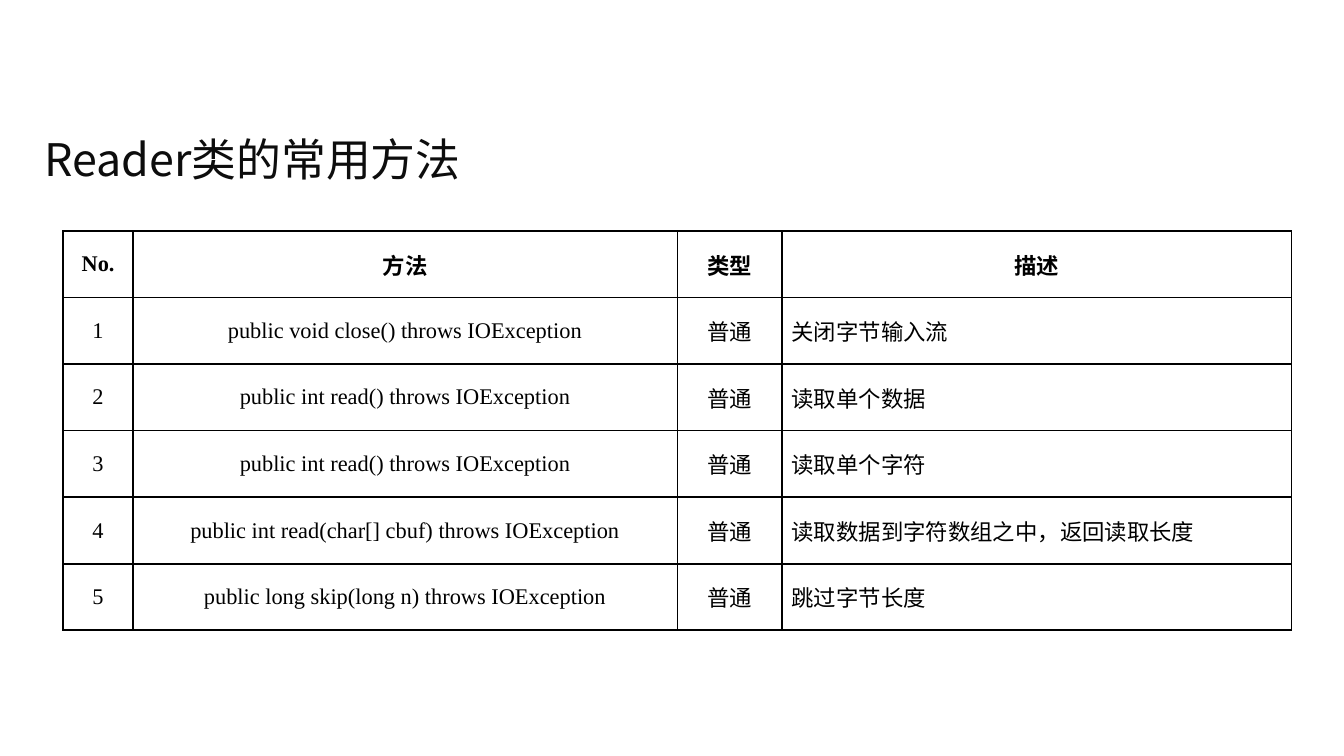
from lxml.etree import SubElement
from pptx import Presentation
from pptx.dml.color import RGBColor
from pptx.enum.text import MSO_ANCHOR as Anchor, PP_ALIGN as Align
from pptx.oxml import parse_xml
from pptx.oxml.ns import nsdecls, qn
from pptx.util import Inches, Pt

TITLE = "Reader类的常用方法"
HEADER = ("No.", "方法", "类型", "描述")
METHODS = [
    ("public void close() throws IOException", "关闭字节输入流"),
    ("public int read() throws IOException", "读取单个数据"),
    ("public int read() throws IOException", "读取单个字符"),
    ("public int read(char[] cbuf) throws IOException", "读取数据到字符数组之中，返回读取长度"),
    ("public long skip(long n) throws IOException", "跳过字节长度"),
]
KIND = "普通"
SLIDE_WIDTH = 10
SLIDE_HEIGHT = SLIDE_WIDTH * 9 / 16
COLUMN_WIDTHS = (0.52, 4.05, 0.78, 3.79)
TABLE_HEIGHT = 2.97

CJK_FONT = "Noto Sans CJK SC"
LATIN_FONT = "Times New Roman"
BLACK = RGBColor(0, 0, 0)
NEAR_BLACK = RGBColor(0x0D, 0x0D, 0x0D)


def write(frame, text, size=12, font=LATIN_FONT, color=BLACK, bold=False, align=Align.CENTER):
    paragraph = frame.paragraphs[0]
    paragraph.alignment = align
    run = paragraph.add_run()
    run.text = text
    run.font.size = Pt(size)
    run.font.bold = bold
    run.font.color.rgb = color
    run.font.name = font
    SubElement(run.font._element, qn("a:ea"), typeface=CJK_FONT)


def add_borders(cell):
    properties = cell._tc.get_or_add_tcPr()
    for position, side in enumerate("LRTB"):
        properties.insert(position, parse_xml(
            f'<a:ln{side} {nsdecls("a")} w="{Pt(1)}"><a:solidFill>'
            f'<a:srgbClr val="{BLACK}"/></a:solidFill></a:ln{side}>'))


def add_title(slide):
    title = slide.shapes.title
    title.left, title.top = Inches(0.23), Inches(0.86)
    title.width, title.height = Inches(9.53), Inches(0.64)
    title.text_frame.vertical_anchor = Anchor.MIDDLE
    write(title.text_frame, TITLE, size=24, font=CJK_FONT, color=NEAR_BLACK, align=Align.LEFT)


def add_method_table(slide):
    rows = [HEADER] + [(str(number), method, KIND, description)
                       for number, (method, description) in enumerate(METHODS, 1)]
    table = slide.shapes.add_table(
        len(rows), len(HEADER), Inches(0.47), Inches(1.72),
        Inches(sum(COLUMN_WIDTHS)), Inches(TABLE_HEIGHT)).table
    table.horz_banding = False
    for column, width in zip(table.columns, COLUMN_WIDTHS):
        column.width = Inches(width)
    for r, row in enumerate(rows):
        for c, text in enumerate(row):
            cell = table.cell(r, c)
            cell.fill.background()
            cell.vertical_anchor = Anchor.MIDDLE
            cell.margin_left = cell.margin_right = Inches(0.07)
            cell.margin_top = cell.margin_bottom = 0
            is_description = r > 0 and c == len(HEADER) - 1
            write(cell.text_frame, text, bold=r == 0,
                  align=Align.JUSTIFY if is_description else Align.CENTER)
            add_borders(cell)


def main():
    deck = Presentation()
    deck.slide_width, deck.slide_height = Inches(SLIDE_WIDTH), Inches(SLIDE_HEIGHT)
    slide = deck.slides.add_slide(deck.slide_layouts[5])
    add_title(slide)
    add_method_table(slide)
    deck.save("out.pptx")


if __name__ == "__main__":
    main()
